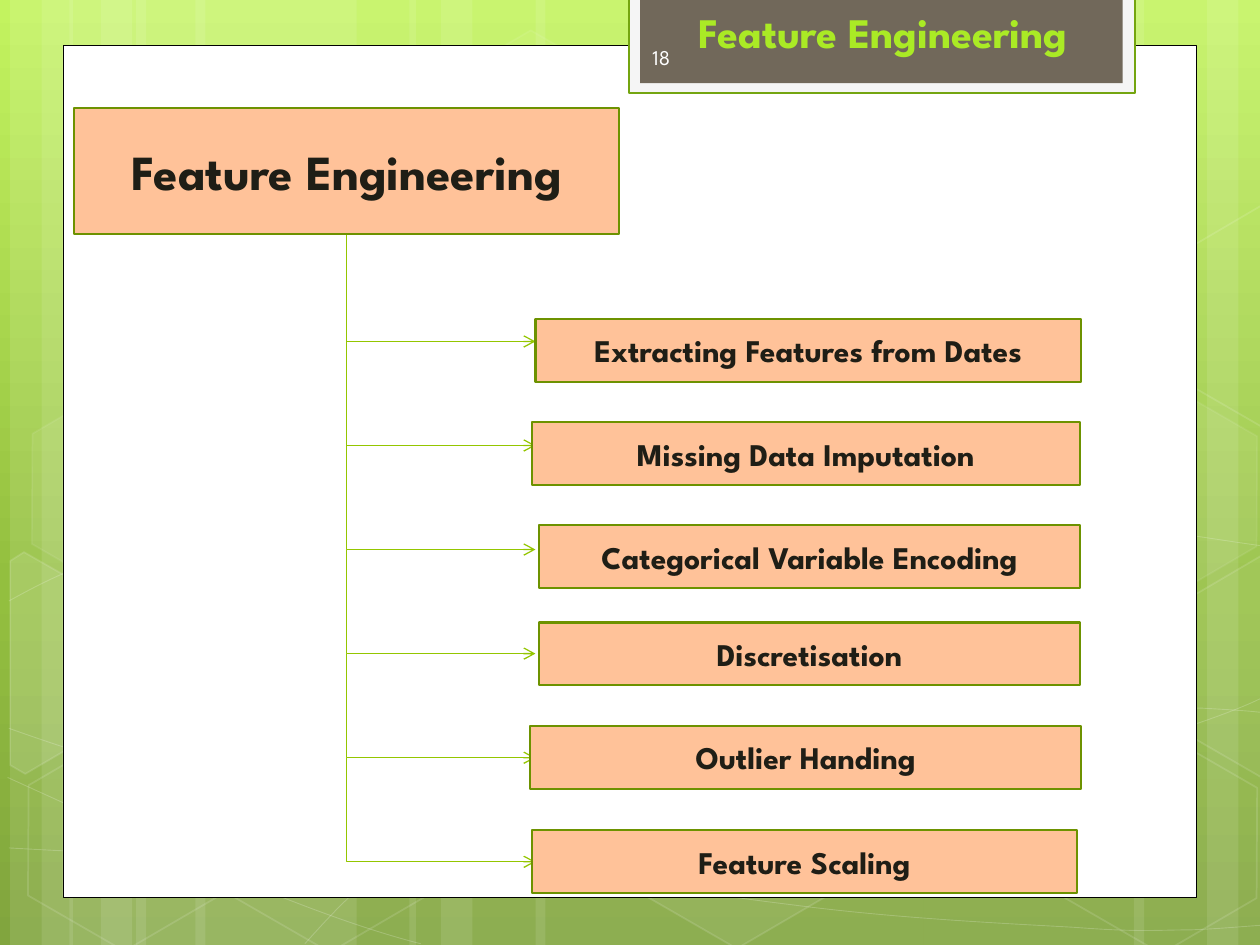
from copy import deepcopy
from dataclasses import dataclass
from math import cos, radians, sin

from lxml.etree import SubElement
from pptx import Presentation
from pptx.dml.color import RGBColor as RGB
from pptx.enum.shapes import MSO_CONNECTOR as CONN, MSO_SHAPE as SHAPE
from pptx.enum.text import MSO_ANCHOR as ANCHOR, PP_ALIGN as ALIGN
from pptx.oxml.ns import qn
from pptx.util import Emu, Pt


@dataclass(frozen=True)
class Theme:
    font: str = "League Spartan"
    sky: tuple = ((0, "C3F35F"), (62, "93BF3F"), (100, "81A53E"))
    white: str = "FFFFFF"
    black: str = "000000"
    tab: str = "F5F5F5"
    tab_line: str = "74A510"
    tab_core: str = "71685A"
    title: str = "AAEA25"
    number: str = "FEFEFE"
    box: str = "FFC299"
    box_line: str = "6D9200"
    ink: str = "1F1E16"
    arrow: str = "94C600"
    title_pt: int = 24
    root_pt: int = 28
    step_pt: int = 18
    number_pt: int = 12


T = Theme()
COLS, ROWS = 10, 7.5                 # grid of square cells over the slide
CELL = 914400
TILT = 30

# Background decoration: left, width
STRIPES = [(1.08, 1.75), (0.08, 0.5), (0.33, 0.83), (1.55, 1.75), (0.55, 0.5),
           (0.8, 0.83), (7.33, 1.75), (9.58, 0.5), (9, 0.83), (4.25, 3.08),
           (3.25, 0.5), (3.5, 0.83)]
# Start point, then groups of three Bezier points
WAVES = [
    [(0.07, 6.73), (0.61, 6.76), (1.15, 6.79), (1.9, 6.78), (2.65, 6.77),
     (3.58, 6.75), (4.58, 6.65), (5.58, 6.55), (7, 6.36), (7.92, 6.17),
     (8.83, 5.98), (9.77, 5.68), (10.07, 5.51)],
    [(0.07, 4.77), (0.36, 4.61), (0.65, 4.46), (1.21, 4.31), (1.78, 4.16),
     (2.59, 3.94), (3.47, 3.87), (4.36, 3.8), (5.44, 3.79), (6.54, 3.87),
     (7.64, 3.95), (9.47, 4.26), (10.07, 4.34)],
    [(0.06, 6.17), (1.27, 6.72), (2.47, 7.27), (3.34, 7.49)],
    [(0.07, 5.78), (0.38, 5.89), (0.7, 6), (1.28, 6.16), (1.86, 6.31),
     (2.73, 6.56), (3.57, 6.73), (4.4, 6.9), (5.45, 7.08), (6.28, 7.18),
     (7.11, 7.29), (8, 7.33), (8.53, 7.36), (9.05, 7.4), (9.19, 7.38),
     (9.45, 7.38), (9.71, 7.37), (9.89, 7.35), (10.07, 7.34)],
    [(2.42, 7.49), (2.6, 7.29), (2.78, 7.09), (3.02, 6.91), (3.26, 6.73),
     (3.6, 6.53), (3.88, 6.39), (4.16, 6.25), (4.33, 6.19), (4.7, 6.09),
     (5.06, 5.99), (5.73, 5.85), (6.08, 5.78), (6.44, 5.71), (6.49, 5.71),
     (6.8, 5.69), (7.11, 5.66), (7.6, 5.63), (7.94, 5.62), (8.29, 5.61),
     (8.86, 5.62), (8.86, 5.62), (9.08, 5.62), (9.31, 5.62), (9.53, 5.62),
     (9.71, 5.63), (9.88, 5.64), (9.97, 5.65), (10.06, 5.66), (10.03, 5.65),
     (10.06, 5.66)],
]
# Left, top, fill opacity (None: no fill), line opacity
HEXAGONS = [(3.34, 0.36, 4, 8), (4.97, 5.89, 6, 12), (0.11, 5.91, None, 12),
            (0.14, 3.12, 7, 8), (1.74, 5.92, None, 12), (7.53, 4.53, 10, 12),
            (8.34, 5.93, None, 12), (8.34, 3.14, 7, 8)]
# Hexagons cut by the slide edge: fill opacity, centre, corners as seen
CUT_HEXAGONS = [
    (10, (0.36, 5.35), [(0.08, 4.45), (0.19, 4.38), (0.96, 4.82), (0.95, 5.7),
                        (0.2, 6.14), (0.08, 6.07)]),
    (4, (9.85, 5.2), [(9.26, 4.85), (10.01, 4.41), (10.09, 4.46), (10.09, 6.13),
                      (10.02, 6.17), (9.26, 5.73)]),
    (None, (9.85, 2.41), [(9.26, 2.07), (10.01, 1.63), (10.1, 1.68), (10.09, 3.35),
                          (10.02, 3.39), (9.26, 2.95)]),
]
# Label, left, top, width
STEPS = [("Extracting Features from Dates", 4.25, 2.53, 4.33),
         ("Missing Data Imputation", 4.22, 3.35, 4.35),
         ("Categorical Variable Encoding", 4.28, 4.17, 4.29),
         ("Discretisation", 4.28, 4.94, 4.29),
         ("Outlier Handing", 4.21, 5.76, 4.37),
         ("Feature Scaling", 4.22, 6.59, 4.33)]
TRUNK_X, TIP_X = 2.75, 4.25
FIRST_Y, LAST_Y = 2.71, 6.84


def cells(*values):
    return [Emu(round(v * CELL)) for v in values]


def set_alpha(sp, query, percent):
    for clr in sp._element.spPr.xpath(query):
        SubElement(clr, qn("a:alpha"), val=str(percent * 1000))


def paint(sp, fill=None, line=None, width=1, fill_alpha=100, line_alpha=100):
    sp.shadow.inherit = False
    if fill:
        sp.fill.solid()
        sp.fill.fore_color.rgb = RGB.from_string(fill)
    else:
        sp.fill.background()
    if line:
        sp.line.color.rgb = RGB.from_string(line)
        sp.line.width = Pt(width)
    else:
        sp.line.fill.background()
    if fill_alpha < 100:
        set_alpha(sp, "a:solidFill/a:srgbClr", fill_alpha)
    if line_alpha < 100:
        set_alpha(sp, "a:ln/a:solidFill/a:srgbClr", line_alpha)


def add_panel(s, box, kind=SHAPE.RECTANGLE, **look):
    sp = s.shapes.add_shape(kind, *cells(*box))
    paint(sp, **look)
    return sp


def add_outline(s, points, close, **look):
    start, *rest = [cells(*point) for point in points]
    builder = s.shapes.build_freeform(*start)
    builder.add_line_segments(rest, close=close)
    sp = builder.convert_to_shape()
    paint(sp, **look)
    return sp


def add_wave(s, points):
    sp = add_outline(s, points, False, line=T.white, width=0.5, line_alpha=20)
    # Join every three segments into one cubic curve
    segments = sp._element.spPr.xpath(".//a:lnTo")
    for first, second, third in zip(*[iter(segments)] * 3):
        first.tag = qn("a:cubicBezTo")
        for segment in (second, third):
            first.append(segment[0])
            segment.getparent().remove(segment)


def turn(point, centre, degrees):
    a = radians(degrees)
    dx, dy = point[0] - centre[0], point[1] - centre[1]
    return centre[0] + dx * cos(a) - dy * sin(a), centre[1] + dx * sin(a) + dy * cos(a)


def write(sp, text, size, color, align=ALIGN.CENTER, anchor=ANCHOR.MIDDLE, bold=True):
    tf = sp.text_frame
    tf.word_wrap = True
    tf.vertical_anchor = anchor
    p = tf.paragraphs[0]
    p.text, p.alignment = text, align
    f = p.font
    f.name, f.size, f.bold = T.font, Pt(size), bold
    f.color.rgb = RGB.from_string(color)


def add_label(s, box, *args, **kw):
    write(s.shapes.add_textbox(*cells(*box)), *args, **kw)


def add_box(s, box, text, size):
    sp = add_panel(s, box, fill=T.box, line=T.box_line, width=1.25)
    write(sp, text, size, T.ink)


def add_elbow(s, start, end, bend):
    c = s.shapes.add_connector(CONN.ELBOW, *cells(*start, *end))
    c.line.color.rgb = RGB.from_string(T.arrow)
    c.line.width = Pt(0.75)
    spPr = c._element.spPr
    SubElement(spPr.find(qn("a:ln")), qn("a:tailEnd"), type="arrow")
    SubElement(spPr, qn("a:effectLst"))
    guides = spPr.find(qn("a:prstGeom")).get_or_add_avLst()
    SubElement(guides, qn("a:gd"), name="adj1", fmla=f"val {round(bend * 100000)}")


def draw_background(s):
    # Vertical gradient
    fill = s.background.fill
    fill.gradient()
    fill.gradient_angle = 270
    gs_list = fill.gradient_stops[0]._gs.getparent()
    gs_list.append(deepcopy(gs_list[-1]))
    for stop, (position, color) in zip(fill.gradient_stops, T.sky):
        stop.position = position / 100
        stop.color.rgb = RGB.from_string(color)
    # Stripes, waves and hexagons
    for left, width in STRIPES:
        add_panel(s, (left, 0, width, ROWS), fill=T.white, fill_alpha=10)
    for points in WAVES:
        add_wave(s, points)
    for left, top, alpha, line_alpha in HEXAGONS:
        sp = add_panel(s, (left, top, 1.75, 1.52), SHAPE.HEXAGON, fill=alpha and T.white,
                       fill_alpha=alpha or 100, line=T.white, line_alpha=line_alpha)
        sp.adjustments[0] = 0.285
        sp.rotation = TILT
    for alpha, centre, corners in CUT_HEXAGONS:
        sp = add_outline(s, [turn(c, centre, -TILT) for c in corners], True,
                         fill=alpha and T.white, fill_alpha=alpha or 100,
                         line=T.white, line_alpha=12)
        sp.rotation = TILT


def draw_frame(s):
    add_panel(s, (0.5, 0.36, 9, 6.76), fill=T.white, line=T.black, width=0.5)
    add_panel(s, (4.99, -0.02, 4.02, 0.76), fill=T.tab, line=T.tab_line, width=1.25)
    add_panel(s, (5.08, -0.02, 3.83, 0.68), fill=T.tab_core)


def draw_tree(s):
    pitch = (LAST_Y - FIRST_Y) / (len(STEPS) - 1)
    add_elbow(s, (1.25, 1.86), (TIP_X, FIRST_Y), 0.5)
    for i in range(1, len(STEPS)):
        y = FIRST_Y + i * pitch
        add_elbow(s, (TRUNK_X, y - pitch), (TIP_X, y), 0)
    add_box(s, (0.59, 0.86, 4.32, 1), "Feature Engineering", T.root_pt)
    for text, left, top, width in STEPS:
        add_box(s, (left, top, width, 0.5), text, T.step_pt)


def main():
    prs = Presentation()
    prs.slide_width, prs.slide_height = cells(COLS, ROWS)
    s = prs.slides.add_slide(prs.slide_layouts[6])
    draw_background(s)
    draw_frame(s)
    draw_tree(s)
    # Title and page number
    add_label(s, (5.16, 0, 3.7, 0.5), "Feature Engineering", T.title_pt, T.title,
              anchor=ANCHOR.TOP)
    add_label(s, (5.08, 0.25, 1.46, 0.4), "18", T.number_pt, T.number,
              align=ALIGN.LEFT, bold=False)
    prs.save("out.pptx")


main()
